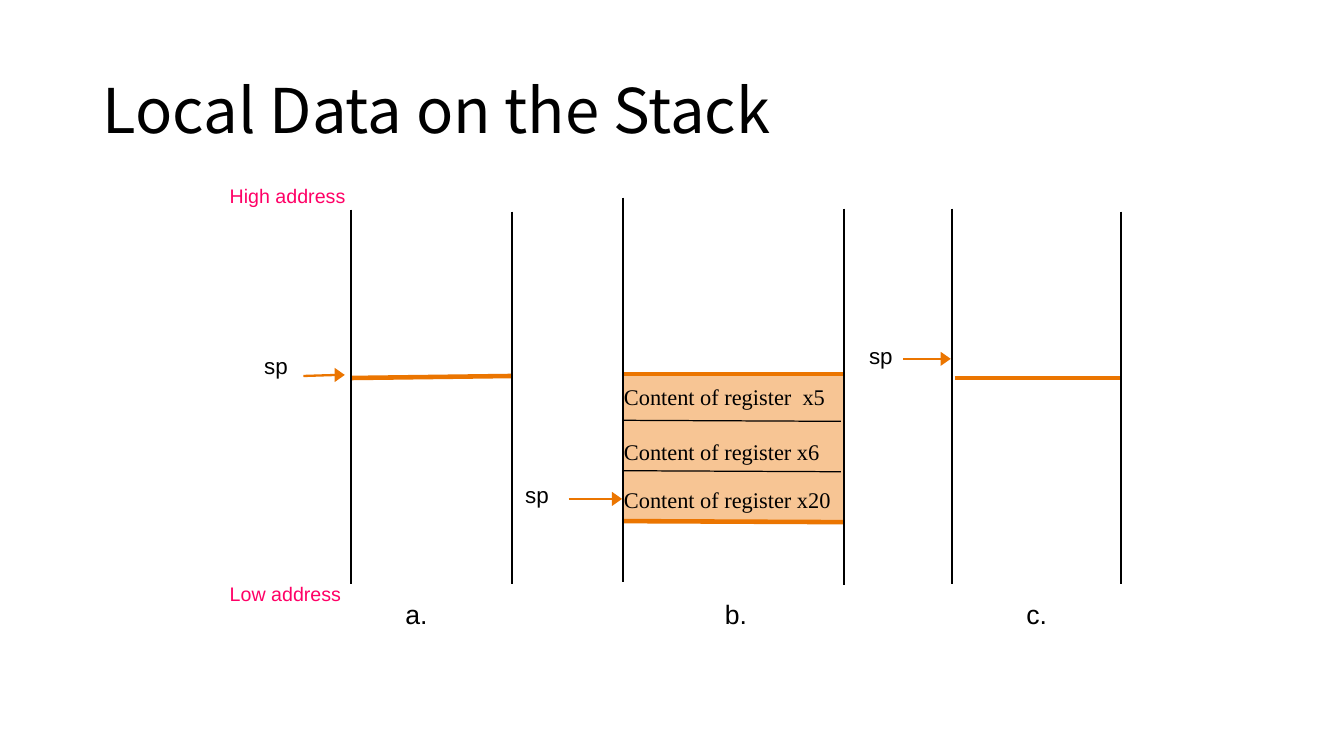
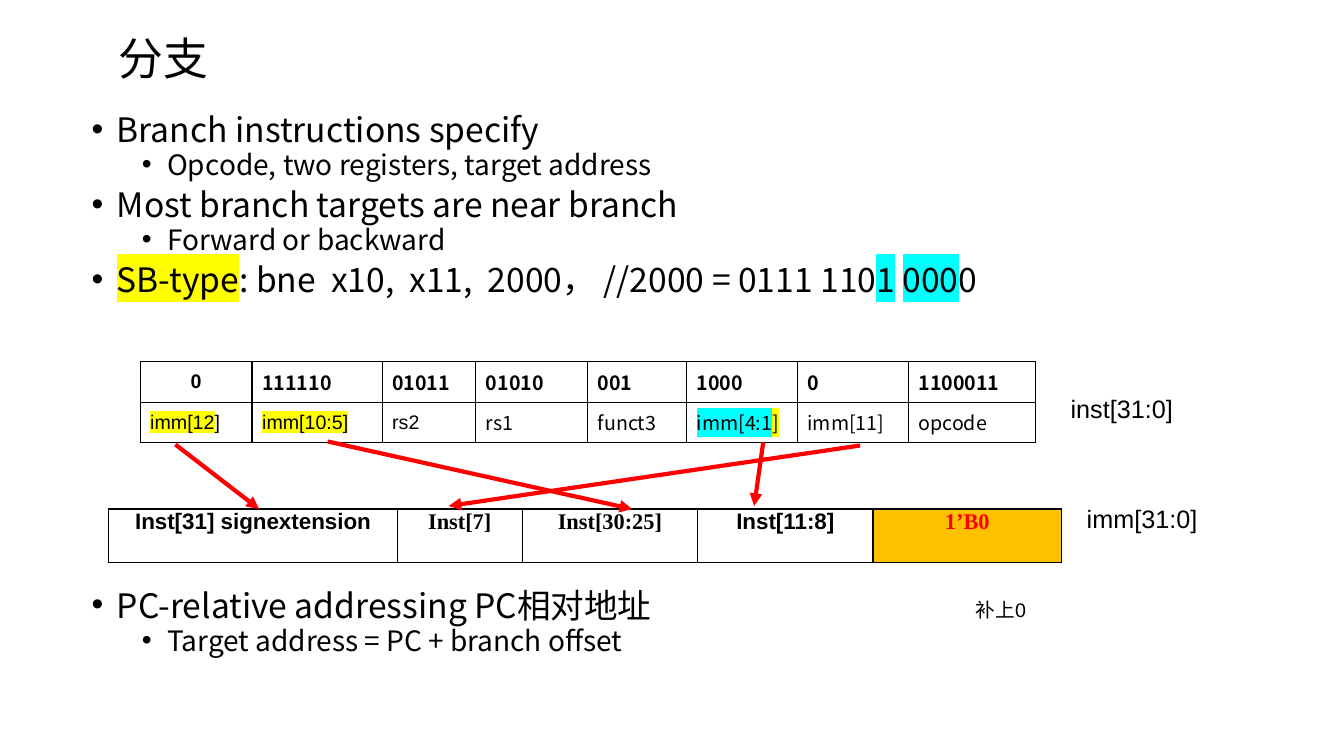
from itertools import accumulate
from lxml.etree import SubElement
from pptx import Presentation
from pptx.dml.color import RGBColor
from pptx.enum.shapes import MSO_CONNECTOR, MSO_SHAPE
from pptx.enum.text import MSO_ANCHOR, MSO_AUTO_SIZE, PP_ALIGN
from pptx.oxml.ns import qn
from pptx.util import Pt

PX = 9144  # 100 px to the inch
SANS, ARIAL, TIMES = "Noto Sans CJK SC", "Arial", "Times New Roman"
BLACK, WHITE, RED, PINK = "000000", "FFFFFF", "FF0000", "FF0066"
ORANGE, PEACH, GOLD = "EB7500", "F7C594", "FFC000"
YELLOW, CYAN = "FFFF00", "00FFFF"
hue = RGBColor.from_string


def write(para, text, size, font=SANS, tint=BLACK, bold=False, mark=None):
    """Add one run; mark is its highlight colour."""
    run = para.add_run()
    run.text = text
    run.font.size, run.font.bold = Pt(size), bold
    run.font.color.rgb = hue(tint)
    props = run.font._element
    if mark:
        light = SubElement(props, qn("a:highlight"))
        SubElement(light, qn("a:srgbClr"), val=mark)
    run.font.name = font
    SubElement(props, qn("a:ea"), typeface=SANS)


def draw(slide, ends, tint, width, arrow=False):
    link = slide.shapes.add_connector(
        MSO_CONNECTOR.STRAIGHT, *(v * PX for v in ends))
    link.line.color.rgb = hue(tint)
    link.line.width = Pt(width)
    if arrow:
        SubElement(link.line._get_or_add_ln(), qn("a:tailEnd"), type="triangle")
    SubElement(link._element.spPr, qn("a:effectLst"))


deck = Presentation()
deck.slide_width, deck.slide_height = 1333 * PX, 750 * PX

# Titles
pages = []
for name, size, box in (
    ("Local Data on the Stack", 44, (92, 40, 1150, 145)),
    ("分支", 32, (108, 10, 233, 100)),
):
    page = deck.slides.add_slide(deck.slide_layouts[5])
    title = page.shapes.title
    title.left, title.top, title.width, title.height = (v * PX for v in box)
    frame = title.text_frame
    frame.auto_size = MSO_AUTO_SIZE.NONE
    frame.vertical_anchor = MSO_ANCHOR.MIDDLE
    para = frame.paragraphs[0]
    para.alignment, para.line_spacing = PP_ALIGN.LEFT, 0.9
    write(para, name, size)
    pages.append(page)
stack, branch = pages

# Stack: saved registers, walls and pointers
block = stack.shapes.add_shape(
    MSO_SHAPE.RECTANGLE, 618 * PX, 371 * PX, 218 * PX, 147 * PX)
block.shadow.inherit = False
block.fill.solid()
block.fill.fore_color.rgb = hue(PEACH)
block.line.fill.background()

for ends in ((618, 371, 836, 371), (618, 517, 836, 518),
             (947, 375, 1112, 375), (348, 375, 508, 373)):
    draw(stack, ends, ORANGE, 3.25)
for y in (417, 467):
    draw(stack, (618, y, 834, y + 1), BLACK, 0.88)
for x, top, low in ((348, 208, 579), (508, 210, 579), (618, 196, 577),
                    (837, 207, 580), (944, 207, 579), (1112, 210, 579)):
    draw(stack, (x, top, x, low), BLACK, 1.63)
for start, tip, y in ((301, 342, 372), (564, 617, 495), (896, 943, 356)):
    draw(stack, (start, y + 1 if y == 372 else y, tip - 8, y), ORANGE, 1.63)
    pen = stack.shapes.build_freeform(tip - 10, y - 7, scale=PX)
    pen.add_line_segments([(tip - 10, y + 7), (tip, y)])
    head = pen.convert_to_shape()
    head.shadow.inherit = False
    head.fill.solid()
    head.fill.fore_color.rgb = hue(ORANGE)
    head.line.fill.background()

# Branch: bulleted text as (level, runs)
points = (
    (111, 240, (
        (0, [("Branch instructions specify", None)]),
        (1, [("Opcode, two registers, target address", None)]),
        (0, [("Most branch targets are near branch", None)]),
        (1, [("Forward or backward", None)]),
        (0, [("SB-type", YELLOW),
             (": bne  x10,  x11,  2000， //2000 = 0111 110", None),
             ("1", CYAN), (" ", None), ("000", CYAN), ("0", None)]),
    )),
    (583, 100, (
        (0, [("PC-relative addressing PC相对地址", None)]),
        (1, [("Target address = PC + branch offset", None)]),
    )),
)
for top, high, items in points:
    frame = branch.shapes.add_textbox(
        81 * PX, top * PX, 1252 * PX, high * PX).text_frame
    frame.word_wrap = True
    for i, (level, runs) in enumerate(items):
        para = frame.add_paragraph() if i else frame.paragraphs[0]
        para.level = level
        props = para._p.get_or_add_pPr()
        props.set("marL", str((25 + 50 * level) * PX))
        props.set("indent", str(-25 * PX))
        SubElement(props, qn("a:buFont"), typeface=ARIAL)
        SubElement(props, qn("a:buChar"), char="•")
        para.line_spacing = 0.79
        if i:
            para.space_before = Pt(4 if level else 8)
        for text, mark in runs:
            write(para, text, 20 if level else 24, mark=mark)

# Branch: tables, each cell as (font, runs)
fields = [
    [(ARIAL, [("0", None)])] + [
        (SANS, [(bits, None)]) for bits in
        ("111110", "01011", "01010", "001", "1000", "0", "1100011")],
    [(ARIAL, [("imm[12", YELLOW), ("]", None)]),
     (ARIAL, [("imm[10:5]", YELLOW)]),
     (ARIAL, [("rs2", None)]),
     (SANS, [("rs1", None)]),
     (SANS, [("funct3", None)]),
     (SANS, [("imm[4:1", CYAN), ("]", YELLOW)]),
     (SANS, [("imm[11]", None)]),
     (SANS, [("opcode", None)])],
]
parts = [[
    (ARIAL, [("Inst[31] signextension", None)]),
    (TIMES, [("Inst[7]", None)]),
    (TIMES, [("Inst[30:25]", None)]),
    (ARIAL, [("Inst[11:8]", None)]),
    (TIMES, [("1’B0", None)]),
]]
for left, top, cols, high, size, pad, anchor, rows in (
    (139, 359, (111, 129, 93, 111, 98, 110, 110, 126), 40, 14, (10, 5),
     MSO_ANCHOR.MIDDLE, fields),
    (108, 505, (286, 124, 174, 174, 187), 53, 16, (7, 0),
     MSO_ANCHOR.TOP, parts),
):
    grid = branch.shapes.add_table(
        len(rows), len(cols), left * PX, top * PX,
        sum(cols) * PX, high * len(rows) * PX).table
    grid.first_row = grid.horz_banding = False
    for col, wide in zip(grid.columns, cols):
        col.width = wide * PX
    for r, row in enumerate(rows):
        grid.rows[r].height = high * PX
        for c, (font, runs) in enumerate(row):
            cell = grid.cell(r, c)
            cell.margin_left = cell.margin_right = pad[0] * PX
            cell.margin_top = cell.margin_bottom = pad[1] * PX
            cell.vertical_anchor = anchor
            for side in ("lnL", "lnR", "lnT", "lnB"):
                edge = SubElement(cell._tc.get_or_add_tcPr(),
                                  qn("a:" + side), w=str(Pt(1)))
                paint = SubElement(edge, qn("a:solidFill"))
                SubElement(paint, qn("a:srgbClr"), val=BLACK)
            last = rows is parts and c == len(cols) - 1
            cell.fill.solid()
            cell.fill.fore_color.rgb = hue(GOLD if last else WHITE)
            para = cell.text_frame.paragraphs[0]
            if rows is parts or r == c == 0:
                para.alignment = PP_ALIGN.CENTER
            for text, mark in runs:
                write(para, text, size, font, RED if last else BLACK,
                      r == 0, mark)

for ends in ((853, 442, 445, 502), (325, 438, 627, 505),
             (757, 439, 748, 502), (174, 441, 257, 505)):
    draw(branch, ends, RED, 3, arrow=True)

# Labels: page, left, top, width, height, text, size, font, tint, padded, wrap
labels = [
    (stack, 218, 178, 143, 33, "High address", 14, ARIAL, PINK, True, False),
    (stack, 218, 572, 139, 33, "Low address", 14, ARIAL, PINK, True, False),
    (branch, 1052, 385, 168, 40, "inst[31:0]", 18, ARIAL, BLACK, True, True),
    (branch, 1068, 494, 168, 40, "imm[31:0]", 18, ARIAL, BLACK, True, True),
    (branch, 958, 588, 142, 34, "补上0", 14, ARIAL, BLACK, True, True),
]
for x, y in ((862, 339), (521, 477), (262, 349)):
    labels.append((stack, x, y, 24, 27, "sp", 16, ARIAL, BLACK, False, False))
for x, text in ((402, "a."), (719, "b."), (1018, "c.")):
    labels.append((stack, x, 593, 22, 32, text, 19, ARIAL, BLACK, False, False))
for y, text in ((375, " x5"), (430, "x6"), (477, "x20")):
    labels.append((stack, 609, y, 251, 37, "Content of register " + text, 16,
                   TIMES, BLACK, True, True))
for page, x, y, wide, high, text, size, font, tint, padded, wrap in labels:
    box = page.shapes.add_textbox(x * PX, y * PX, wide * PX, high * PX)
    frame = box.text_frame
    frame.word_wrap = wrap
    if not padded:
        frame.margin_left = frame.margin_right = 0
        frame.margin_top = frame.margin_bottom = 0
    write(frame.paragraphs[0], text, size, font, tint)

deck.save("out.pptx")
